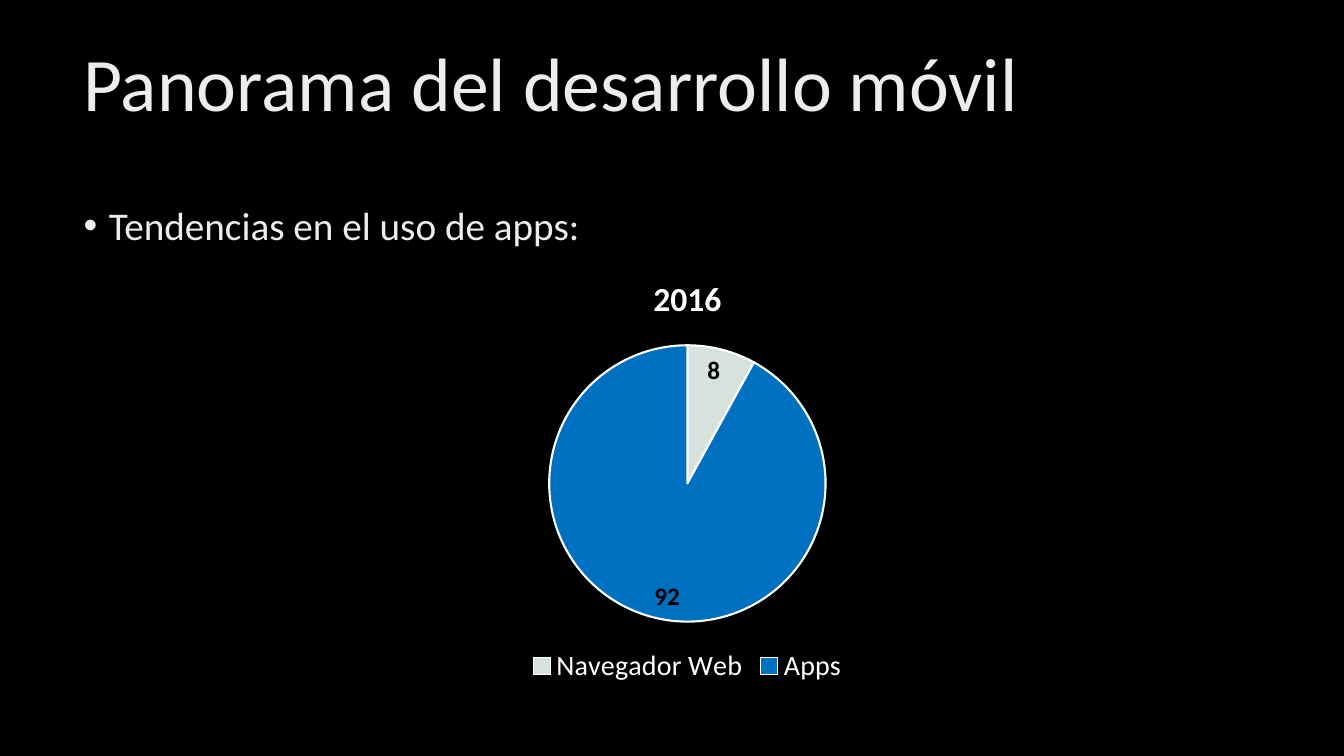
from lxml.etree import SubElement
from pptx import Presentation
from pptx.chart.data import CategoryChartData
from pptx.dml.color import RGBColor
from pptx.enum.chart import XL_CHART_TYPE, XL_LABEL_POSITION, XL_LEGEND_POSITION
from pptx.enum.text import MSO_ANCHOR, MSO_AUTO_SIZE, PP_ALIGN
from pptx.oxml.ns import qn
from pptx.util import Pt

FONT = "Calibri"
COLORS = {
    "background": "000000",
    "text": "EDEDED",
    "white": "FFFFFF",
    "label": "000000",
    "browser": "D7E2DC",
    "apps": "0070C0",
}
USAGE = [("Navegador Web", 8, "browser"), ("Apps", 92, "apps")]


def rgb(name):
    """Return the named colour."""
    return RGBColor.from_string(COLORS[name])


def set_font(font, size, color, bold=False):
    """Format a font of a run or a chart part."""
    font.name = FONT
    font.size = Pt(size)
    font.bold = bold
    font.color.rgb = rgb(color)


def fill_placeholder(sp, box, text, size, anchor):
    """Place a placeholder and write one left-aligned paragraph in it."""
    sp.left, sp.top, sp.width, sp.height = map(Pt, box)
    tf = sp.text_frame
    tf.word_wrap = True
    tf.auto_size = MSO_AUTO_SIZE.NONE
    tf.vertical_anchor = anchor
    p = tf.paragraphs[0]
    p.alignment = PP_ALIGN.LEFT
    p.line_spacing = 0.9
    r = p.add_run()
    r.text = text
    set_font(r.font, size, "text")
    return p


def set_bullet(p, indent):
    """Give a paragraph a round bullet with a hanging indent."""
    pPr = p._p.get_or_add_pPr()
    pPr.set("marL", str(Pt(indent)))
    pPr.set("indent", str(-Pt(indent)))
    SubElement(pPr, qn("a:buFont"), typeface="Arial")
    SubElement(pPr, qn("a:buChar"), char="•")


def add_pie(slide, box, title):
    """Add the pie chart of app usage with title, labels and legend."""
    data = CategoryChartData()
    data.categories = [name for name, _, _ in USAGE]
    data.add_series(title, [value for _, value, _ in USAGE])
    chart = slide.shapes.add_chart(XL_CHART_TYPE.PIE, *map(Pt, box), data).chart
    set_font(chart.font, 10, "white")

    r = chart.chart_title.text_frame.paragraphs[0].add_run()
    r.text = title
    set_font(r.font, 24, "white", bold=True)

    chart.has_legend = True
    chart.legend.position = XL_LEGEND_POSITION.BOTTOM
    chart.legend.include_in_layout = False
    set_font(chart.legend.font, 20, "white")

    plot = chart.plots[0]
    plot.vary_by_categories = True
    for i, (_, _, color) in enumerate(USAGE):
        fmt = plot.series[0].points[i].format
        fmt.fill.solid()
        fmt.fill.fore_color.rgb = rgb(color)
        fmt.line.color.rgb = rgb("white")
        fmt.line.width = Pt(1.5)

    labels = plot.series[0].data_labels
    labels.show_value = True
    labels.position = XL_LABEL_POSITION.INSIDE_END
    set_font(labels.font, 18, "label", bold=True)


def main():
    """Build the slide and save it."""
    prs = Presentation()
    prs.slide_width, prs.slide_height = Pt(960), Pt(540)
    slide = prs.slides.add_slide(prs.slide_layouts[1])
    slide.background.fill.solid()
    slide.background.fill.fore_color.rgb = rgb("background")

    fill_placeholder(slide.shapes.title, (52.5, 22.5, 826, 79),
                     "Panorama del desarrollo móvil", 54, MSO_ANCHOR.MIDDLE)
    p = fill_placeholder(slide.placeholders[1], (52.5, 144, 842, 343),
                         "Tendencias en el uso de apps:", 28, MSO_ANCHOR.TOP)
    p.space_before = Pt(10)
    set_bullet(p, 18)
    add_pie(slide, (256.5, 183, 469, 309), "2016")
    prs.save("out.pptx")


main()
